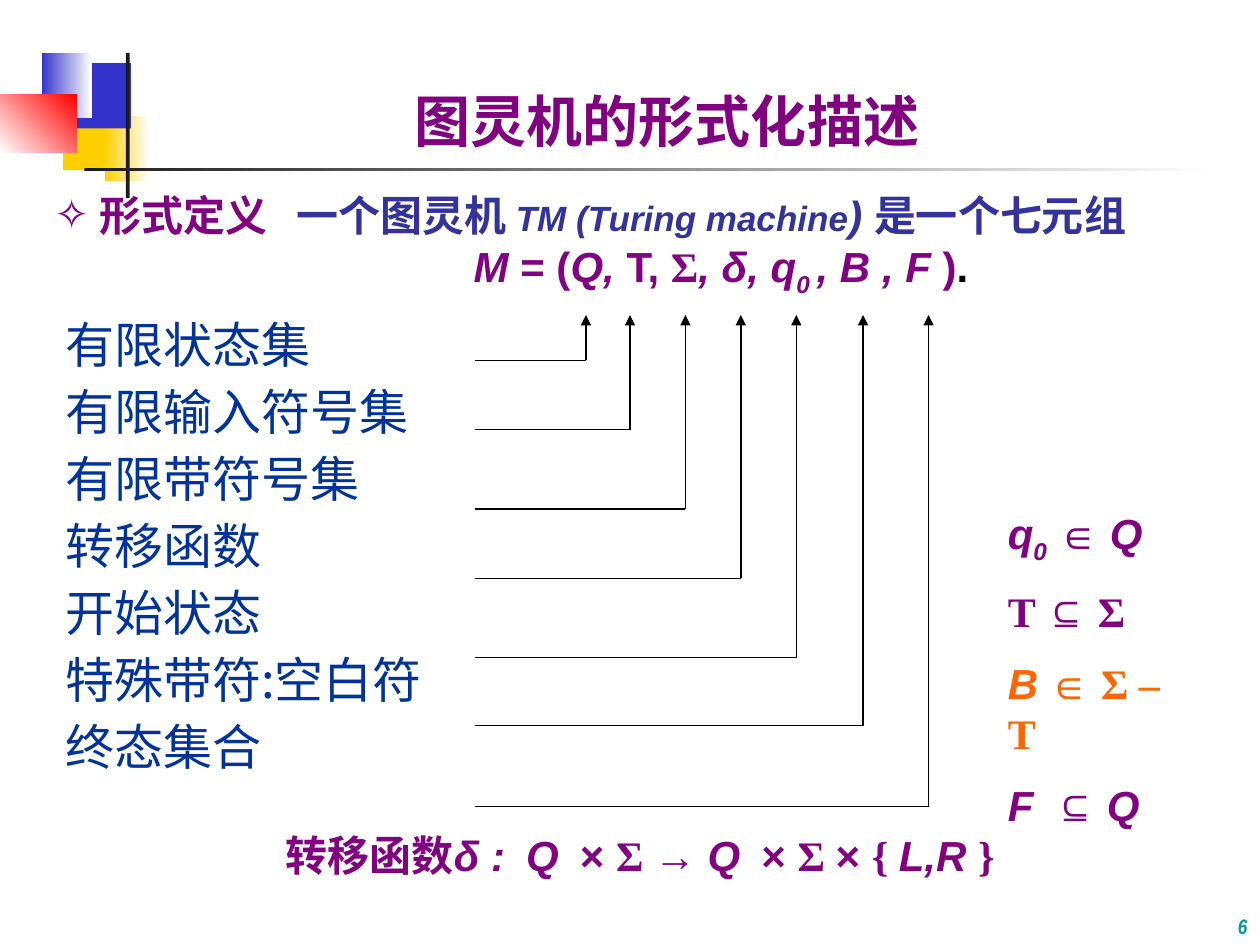
import lxml.etree
import pptx
import pptx.dml.color
import pptx.enum.shapes
import pptx.enum.text
import pptx.oxml.ns
import pptx.util

Inches = pptx.util.Inches
Pt = pptx.util.Pt
ANCHOR = pptx.enum.text.MSO_ANCHOR
ALIGN = pptx.enum.text.PP_ALIGN
qn = pptx.oxml.ns.qn

COLORS = {"purple": "800080", "indigo": "333399", "navy": "003399",
          "orange": "FF6600", "teal": "009999", "black": "000000",
          "ink": "1C1C1C", "gold": "FFCF01", "blue": "3333CC",
          "red": "FF0000", "white": "FFFFFF"}
SANS, SERIF, CHINESE = "Arial", "Times New Roman", "Noto Sans CJK SC"


def color(name):
    return pptx.dml.color.RGBColor.from_string(COLORS[name])


def sans(text, **style):
    return dict(text=text, name=SANS, **style)


def serif(text, **style):
    return dict(text=text, name=SERIF, **style)


def slanted(text, **style):
    return sans(text, italic=True, **style)


def gap(points):
    """One space widened by the given number of points."""
    return serif(" ", spacing=points)


def set_font(font, properties, text, name=None, size=None, bold=None,
             italic=None, hue=None):
    """Apply the given settings; Chinese text also gets its own typeface."""
    if size:
        font.size = Pt(size)
    if bold is not None:
        font.bold = bold
    if italic is not None:
        font.italic = italic
    if hue:
        font.color.rgb = color(hue)
    if name:
        font.name = name
    if any(ord(letter) > 0x3000 for letter in text):
        lxml.etree.SubElement(properties, qn("a:ea"), typeface=CHINESE)


class Page:
    def __init__(self, deck, layout):
        self.slide = deck.slides.add_slide(deck.slide_layouts[layout])
        self.shapes = self.slide.shapes

    def block(self, left, top, width, height, *hues, angle=0):
        """A rectangle filled with one colour, or fading between two."""
        box = self.shapes.add_shape(pptx.enum.shapes.MSO_SHAPE.RECTANGLE,
                                    Inches(left), Inches(top), Inches(width), Inches(height))
        box.shadow.inherit = False
        box.line.fill.background()
        if len(hues) == 1:
            box.fill.solid()
            box.fill.fore_color.rgb = color(hues[0])
            return
        box.fill.gradient()
        box.fill.gradient_angle = angle
        for stop, hue in zip(box.fill.gradient_stops, hues):
            stop.color.rgb = color(hue)

    def frame(self, left, top, width, height, placeholder=None, anchor=ANCHOR.TOP):
        place = Inches(left), Inches(top), Inches(width), Inches(height)
        if placeholder is None:
            box = self.shapes.add_textbox(*place)
        else:
            box = self.slide.placeholders[placeholder]
            box.left, box.top, box.width, box.height = place
        frame = box.text_frame
        frame.word_wrap = True
        frame.auto_size = pptx.enum.text.MSO_AUTO_SIZE.NONE
        frame.vertical_anchor = anchor
        return frame

    def para(self, frame, *spans, before=0, spacing=1.0, align=ALIGN.LEFT,
             margin=0, bullet=None, **style):
        first = not frame.paragraphs[0].runs
        para = frame.paragraphs[0] if first else frame.add_paragraph()
        para.alignment = align
        para.line_spacing = spacing
        para.space_before = Pt(0 if first else before)
        properties = para._p.get_or_add_pPr()
        properties.set("marL", str(Inches(margin)))
        properties.set("indent", str(-Inches(margin) if bullet else 0))
        if bullet:
            lxml.etree.SubElement(properties, qn("a:buChar"), char=bullet)
        else:
            lxml.etree.SubElement(properties, qn("a:buNone"))
        words = "".join(span["text"] for span in spans)
        set_font(para.font, properties.find(qn("a:defRPr")), words, **style)
        for span in spans:
            self.span(para, **span)

    def span(self, para, text, sub=False, spacing=0, **style):
        run = para.add_run()
        run.text = text
        properties = run._r.get_or_add_rPr()
        if sub:
            properties.set("baseline", "-25000")
        if spacing:
            properties.set("spc", str(spacing * 100))
        set_font(run.font, properties, text, **style)

    def line(self, group, start, end, arrow=False):
        points = [Inches(value) for value in (*start, *end)]
        line = group.shapes.add_connector(pptx.enum.shapes.MSO_CONNECTOR.STRAIGHT, *points)
        line.line.color.rgb = color("black")
        line.line.width = Pt(0.75)
        if arrow:
            lxml.etree.SubElement(line.line._get_or_add_ln(), qn("a:tailEnd"), type="triangle")
        lxml.etree.SubElement(line._element.spPr, qn("a:effectLst"))

    def pointer(self, x, y, left=3.77, top=2.5):
        """A line from a description to the symbol above it."""
        group = self.shapes.add_group_shape()
        self.line(group, (left, y), (x, y))
        self.line(group, (x, y), (x, top), arrow=True)


def decorate(page):
    page.block(0.5, 0.83, 0.48, 0.52, "gold")
    page.block(0.83, 0.92, 0.36, 0.52, "gold", "white")
    page.block(0.58, 0.5, 0.46, 0.52, "blue")
    page.block(0.33, 0.42, 0.4, 0.52, "blue", "white")
    page.block(0, 0.75, 0.61, 0.46, "white", "red", angle=45)
    page.block(1, 0.42, 0.03, 1.15, "ink")
    page.block(0.67, 1.33, 9, 0.03, "ink", "white")
    number = page.frame(8.33, 7, 1.67, 0.5, anchor=ANCHOR.BOTTOM)
    page.para(number, dict(text="6"), align=ALIGN.RIGHT, name="Arial Narrow",
              size=12, bold=True, italic=True, hue="teal")


def define(page):
    purple = dict(size=24, bold=True, hue="purple")
    title = page.frame(0.92, 0.61, 8.75, 0.67, placeholder=0, anchor=ANCHOR.BOTTOM)
    page.para(title, dict(text="图灵机的形式化描述"), spacing=0.9, align=ALIGN.CENTER,
              name=SANS, size=32, bold=True, hue="purple")

    definition = page.frame(0.33, 1.5, 9.42, 0.9, placeholder=1)
    page.para(definition, serif("形式定义"), gap(11), serif("一个图灵机 ", hue="indigo"),
              slanted("TM (Turing machine", size=20, hue="indigo"),
              slanted(") ", hue="indigo"), sans("是一个七元组", hue="indigo"),
              spacing=0.9, margin=0.36, bullet="✧", **purple)
    page.para(definition, slanted("M"), sans(" = ("), slanted("Q,"), sans(" T, "),
              serif("Σ"), slanted(", δ, q"), slanted("0 ", sub=True),
              slanted(", B , F "), sans(")"), sans(".", hue="black"),
              margin=3.33, **purple)

    relations = page.frame(7.9, 3.98, 1.67, 2.2)
    orange = dict(purple, hue="orange")
    page.para(relations, slanted("q"), slanted("0", sub=True), serif(" ∈ "),
              slanted("Q"), **purple)
    page.para(relations, serif("T ⊆ Σ"), before=12, **purple)
    page.para(relations, slanted("B"), serif(" ∈ Σ – T"), before=12, **orange)
    page.para(relations, slanted("F"), gap(6), serif("⊆ "), slanted("Q"),
              before=12, **purple)

    transition = page.frame(2.17, 6.58, 7.57, 0.5)
    page.para(transition, serif("转移函数"), slanted("δ :"), gap(6), slanted("Q"), gap(6),
              sans("× "), serif("Σ "), sans("→ "), slanted("Q"), gap(6), sans("× "),
              serif("Σ "), sans("× "), serif("{ "), slanted("L,R "), serif("}"),
              spacing=0.9, **purple)


def describe(page):
    """List the seven parts and point each one at its symbol."""
    parts = page.frame(0.33, 2.5, 3.7, 4.27, placeholder=2)
    parts.margin_left = Inches(0.19)
    for text in ("有限状态集", "有限输入符号集", "有限带符号集", "转移函数",
                 "开始状态", "特殊带符:空白符", "终态集合"):
        page.para(parts, dict(text=text), before=8, spacing=0.9,
                  name=CHINESE, size=28, hue="navy")
    for x, y in ((4.65, 2.86), (5, 3.41), (5.44, 4.04), (5.88, 4.59),
                 (6.32, 5.22), (6.85, 5.76), (7.37, 6.4)):
        page.pointer(x, y)


def main():
    deck = pptx.Presentation()
    deck.slide_width, deck.slide_height = Inches(10), Inches(7.5)
    page = Page(deck, layout=3)
    decorate(page)
    define(page)
    describe(page)
    deck.save("out.pptx")


if __name__ == "__main__":
    main()
